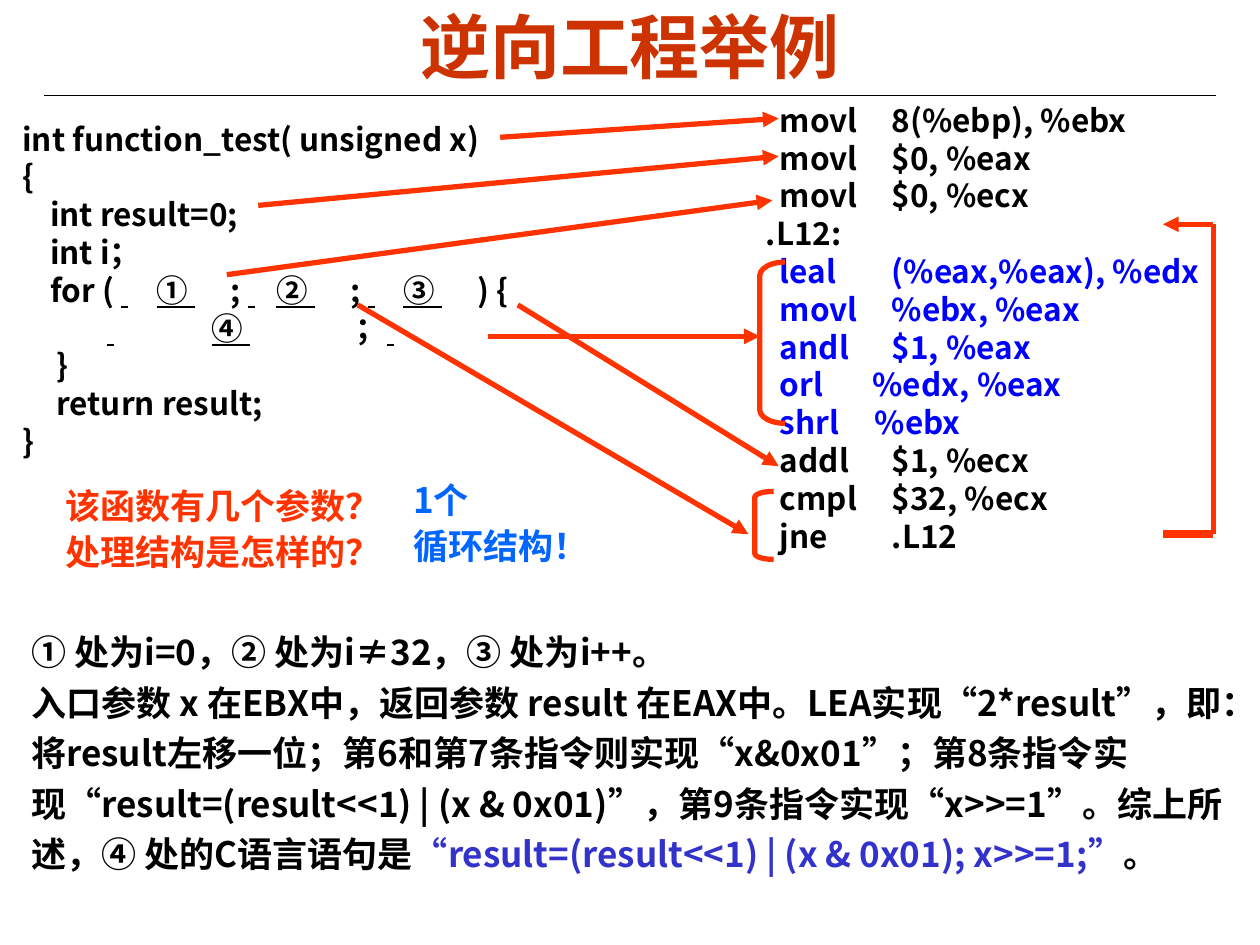
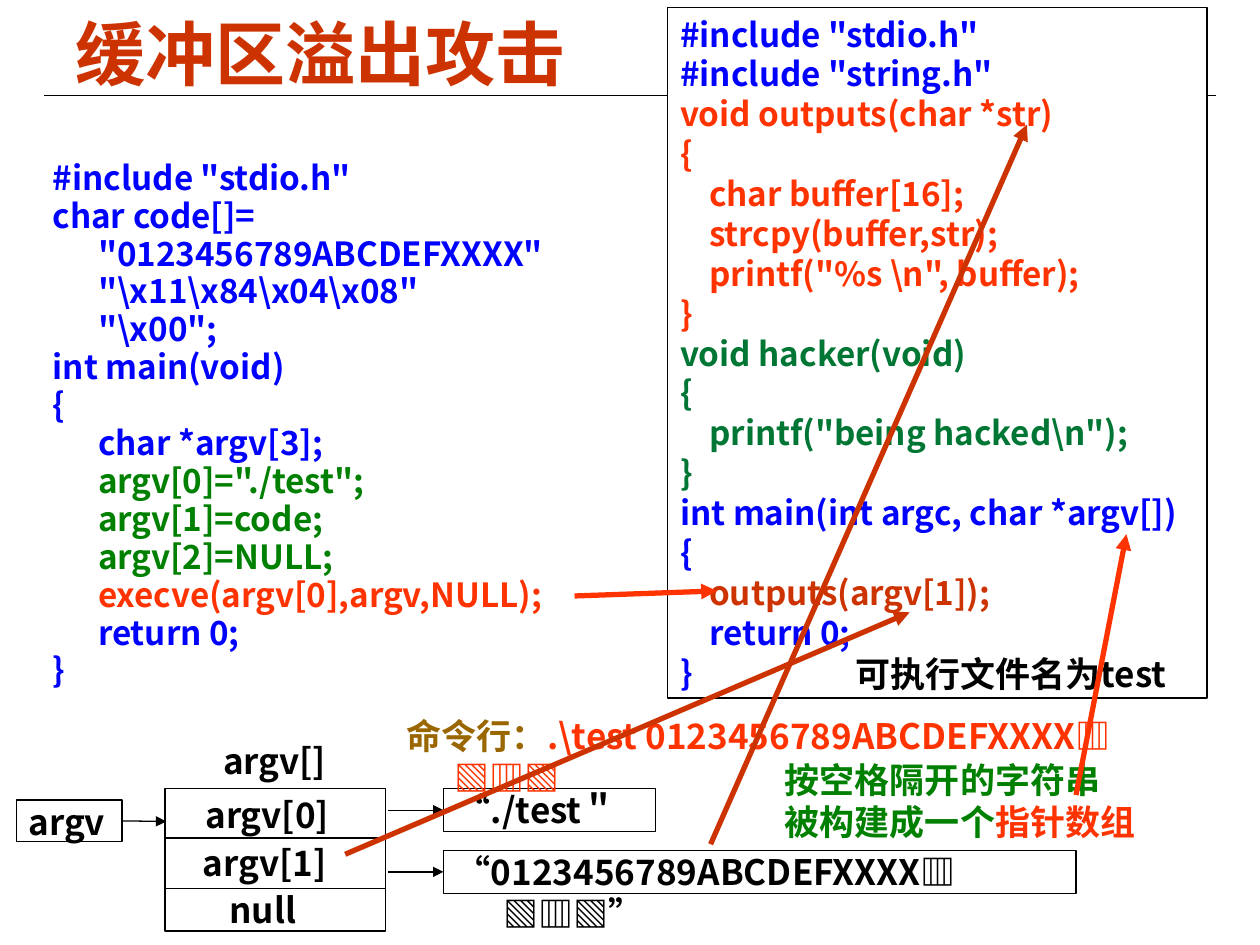
import pptx
import pptx.util
import pptx.dml.color
import pptx.enum.shapes
import pptx.enum.text
import pptx.oxml.ns
import lxml.etree

Inches, Pt = pptx.util.Inches, pptx.util.Pt
SHAPE = pptx.enum.shapes.MSO_SHAPE
ANCHOR = pptx.enum.text.MSO_ANCHOR
FIT = pptx.enum.text.MSO_AUTO_SIZE
ALIGN = pptx.enum.text.PP_ALIGN
qn = pptx.oxml.ns.qn
FONT = "Noto Sans CJK SC"
SPACE_WIDTH = 0.22  # width of a space, in ems
COLORS = {
    "black": "000000", "white": "FFFFFF", "title": "CC3300", "red": "FF3300",
    "blue": "0000FF", "indigo": "3333CC", "sky": "0066FF", "green": "008000",
    "forest": "007635", "ochre": "996600",
}
RGB = {name: pptx.dml.color.RGBColor.from_string(code) for name, code in COLORS.items()}


def write(box, rows, size, font=FONT, hang=0, **frame_format):
    """A row is (indent, run, ...); a run is (text or gap in inches, colour[, underline])."""
    frame = box.text_frame
    settings = {"word_wrap": True, "auto_size": FIT.NONE, "vertical_anchor": ANCHOR.TOP}
    for name, value in {**settings, **frame_format}.items():
        setattr(frame, name, value)
    for number, (indent, *runs) in enumerate(rows):
        para = frame.add_paragraph() if number else frame.paragraphs[0]
        para.alignment = ALIGN.LEFT
        props = para._p.get_or_add_pPr()
        props.set("marL", str(Inches(indent + hang)))
        props.set("indent", str(Inches(-hang)))
        for content, color, *underline in runs:
            if content == "\n":
                para.add_line_break()
                continue
            is_text = isinstance(content, str)
            span = para.add_run()
            span.text = content if is_text else " "
            for name, value in {"size": Pt(size), "bold": True, "name": font,
                                "underline": bool(underline)}.items():
                setattr(span.font, name, value)
            span.font.color.rgb = RGB[color]
            span_props = span._r.get_or_add_rPr()
            lxml.etree.SubElement(span_props, qn("a:ea"), typeface=FONT)
            if not is_text:  # one space, widened by letter spacing
                span_props.set("spc", str(round(100 * (content * 72 - SPACE_WIDTH * size))))
    return frame


def draw_line(slide, start, end, color="black", width=0.75, arrow=False):
    line = slide.shapes.add_connector(
        pptx.enum.shapes.MSO_CONNECTOR.STRAIGHT, *map(Inches, start + end))
    line.line.color.rgb = RGB[color]
    line.line.width = Pt(width)
    if arrow:
        lxml.etree.SubElement(line.line._get_or_add_ln(), qn("a:tailEnd"), type="triangle")
    lxml.etree.SubElement(line._element.spPr, qn("a:effectLst"))
    return line


deck = pptx.Presentation()
deck.slide_width, deck.slide_height = Inches(10), Inches(7.5)

# Shared title and rule
slides = []
for heading, top, align in [("逆向工程举例", 0.06, ALIGN.CENTER),
                            ("缓冲区溢出攻击", 0.11, ALIGN.LEFT)]:
    slide = deck.slides.add_slide(deck.slide_layouts[5])
    draw_line(slide, (0.35, 0.76), (9.65, 0.76))
    title = slide.shapes.title
    title.left, title.top, title.width, title.height = map(Inches, (0.5, top, 9, 0.61))
    write(title, [(0, (heading, "title"))], 40, "Arial", vertical_anchor=ANCHOR.MIDDLE)
    title.text_frame.paragraphs[0].alignment = align
    slides.append(slide)
reverse_slide, overflow_slide = slides

# Slide 1: assembly listing, operands on the default one-inch tab
STEP = 0.11
assembly = [
    (0, (STEP, "black"), ("movl\t8(%ebp), %ebx", "black")),
    (0, (STEP, "black"), ("movl\t$0, %eax", "black")),
    (0, (STEP, "black"), ("movl\t$0, %ecx", "black")),
    (0, (".L12:", "black")),
    (0, (STEP, "blue"), ("leal \t(%eax,%eax), %edx", "blue")),
    (0, (STEP, "blue"), ("movl\t%ebx, %eax", "blue")),
    (0, (STEP, "blue"), ("andl\t$1, %eax", "blue")),
    (0, (STEP, "blue"), ("orl", "blue"), (0.39, "blue"), ("%edx, %eax", "blue")),
    (0, (STEP, "blue"), ("shrl", "blue"), (0.28, "blue"), ("%ebx", "blue")),
    (0, (STEP, "black"), ("addl\t$1, %ecx", "black")),
    (0, (STEP, "black"), ("cmpl\t$32, %ecx", "black")),
    (0, (STEP, "black"), ("jne", "black"), (0.2, "black"), ("\t.L12", "black")),
]
box = reverse_slide.shapes.add_textbox(*map(Inches, (5.98, 0.75, 3.84, 3.7)))
write(box, assembly, 18, vertical_anchor=ANCHOR.MIDDLE, auto_size=FIT.SHAPE_TO_FIT_TEXT)

# Slide 1: explanation
explanation = [
    (0, ("① 处为i=0，② 处为i≠32，③ 处为i++。", "black")),
    (0, ("入口参数 x 在EBX中，返回参数 result 在EAX中。LEA实现“2*result”，即：将result左移一位；"
         "第6和第7条指令则实现“x&0x01”；第8条指令实现“result=(result<<1) | (x & 0x01)”，"
         "第9条指令实现“x>>=1”。综上所述，④ 处的C语言语句是", "black"),
     ("“result=(result<<1) | (x & 0x01); x>>=1;”", "indigo"), ("。", "black")),
]
box = reverse_slide.shapes.add_textbox(*map(Inches, (0.15, 4.69, 9.68, 2.5)))
frame = write(box, explanation, 20, vertical_anchor=ANCHOR.MIDDLE,
              auto_size=FIT.SHAPE_TO_FIT_TEXT)
for para in frame.paragraphs:
    para.line_spacing = 1.2

# Slide 1: C function with underlined blanks
WIDE = (0.28, "black", True)
function_rows = [
    (0, ("int function_test( unsigned x)", "black")),
    (0, ("{", "black")),
    (0.22, ("int result=0;", "black")),
    (0.22, ("int i；", "black")),
    (0.22, ("for ( ", "black"), WIDE, ("①", "black", True), WIDE, (" ; ", "black"),
     (0.22, "black", True), ("②", "black", True), WIDE, (" ; ", "black"),
     WIDE, ("③", "black", True), WIDE, (" ) {", "black")),
    (0.67, (0.83, "black", True), ("④", "black", True), (0.89, "black", True),
     ("；", "black"), (0.67, "black", True)),
    (0.27, ("}", "black")),
    (0.27, ("return result;", "black")),
    (0, ("}", "black")),
]
box = reverse_slide.shapes.add_textbox(*map(Inches, (0.08, 0.9, 4.87, 2.8)))
write(box, function_rows, 18, auto_size=FIT.SHAPE_TO_FIT_TEXT)

# Slide 1: arrows from code to instructions
for start, end in [((3.97, 1.09), (6.18, 0.94)), ((2.05, 1.63), (6.18, 1.24)),
                   ((1.8, 2.18), (6.13, 1.59)), ((2.84, 2.42), (5.94, 4.24)),
                   ((4.11, 2.42), (6.18, 3.7)), ((3.87, 2.67), (6.03, 2.67))]:
    draw_line(reverse_slide, start, end, "red", 3, True)

# Slide 1: jump back to the label
draw_line(reverse_slide, (9.63, 4.24), (9.23, 4.24), "red", 4.5)
draw_line(reverse_slide, (9.63, 1.78), (9.63, 4.24), "red", 3)
draw_line(reverse_slide, (9.63, 1.78), (9.23, 1.78), "red", 3, True)

# Slide 1: brackets around instruction groups
for place, bend in [((5.99, 3.9, 0.15, 0.54), 0.31), ((6.03, 2.08, 0.2, 1.28), 0.54)]:
    bracket = reverse_slide.shapes.add_shape(SHAPE.LEFT_BRACKET, *map(Inches, place))
    bracket.adjustments[0] = bend
    bracket.shadow.inherit = False
    bracket.fill.background()
    bracket.line.color.rgb = RGB["red"]
    bracket.line.width = Pt(3)

# Slide 1: questions and answers
for place, texts, color in [
        ((0.42, 3.8, 2.81, 0.8), ("该函数有几个参数？", "处理结构是怎样的？"), "red"),
        ((3.18, 3.75, 1.97, 0.8), ("1个", "循环结构！"), "sky")]:
    box = reverse_slide.shapes.add_textbox(*map(Inches, place))
    frame = write(box, [(0, (text, color)) for text in texts], 20,
                  auto_size=FIT.SHAPE_TO_FIT_TEXT)
    frame.paragraphs[1].space_before = Pt(2)

# Slide 2: attacking program
attack = [
    (0, '#include "stdio.h"', "blue"),
    (0, "char code[]=", "blue"),
    (0.36, '"0123456789ABCDEFXXXX"', "blue"),
    (0.36, '"\\x11\\x84\\x04\\x08"', "blue"),
    (0.36, '"\\x00";', "blue"),
    (0, "int main(void)", "blue"),
    (0, "{", "blue"),
    (0.36, "char *argv[3];", "blue"),
    (0.36, 'argv[0]="./test";', "green"),
    (0.36, "argv[1]=code;", "green"),
    (0.36, "argv[2]=NULL;", "green"),
    (0.36, "execve(argv[0],argv,NULL);", "red"),
    (0.36, "return 0;", "blue"),
    (0, "}", "blue"),
]
box = overflow_slide.shapes.add_textbox(*map(Inches, (0.32, 1.22, 4.38, 4.31)))
frame = write(box, [(indent, (text, color)) for indent, text, color in attack], 19,
              vertical_anchor=ANCHOR.MIDDLE, auto_size=FIT.SHAPE_TO_FIT_TEXT)
for para in frame.paragraphs:
    para.line_spacing = 0.95

# Slide 2: attacked program
victim = [
    (0, '#include "stdio.h"', "blue"),
    (0, '#include "string.h"', "blue"),
    (0, "void outputs(char *str)", "red"),
    (0, "{", "red"),
    (0.23, "char buffer[16];", "red"),
    (0.23, "strcpy(buffer,str);", "red"),
    (0.23, 'printf("%s \\n", buffer);', "red"),
    (0, "}", "red"),
    (0, "void hacker(void)", "forest"),
    (0, "{", "forest"),
    (0.23, 'printf("being hacked\\n");', "forest"),
    (0, "}", "forest"),
    (0, "int main(int argc, char *argv[])", "blue"),
    (0, "{", "blue"),
    (0.23, "outputs(argv[1]);", "title"),
    (0.23, "return 0;", "blue"),
    (0, "}", "blue"),
]

# Slide 2: boxes as place, outline, filled, left inset, rows, size
PAYLOAD = "0123456789ABCDEFXXXX▥"
boxes = {
    "victim": ((5.3, 0.06, 4.28, 5.48), True, True, 0.1,
               [(indent, (text, color)) for indent, text, color in victim], 19),
    "argv": ((0.13, 6.35, 0.84, 0.33), True, True, 0.1, [(0, ("argv", "black"))], 20),
    "array": ((1.31, 6.26, 1.75, 1.13), True, True, 0, [], 20),
    "item 0": ((1.57, 6.3, 1.12, 0.32), False, True, 0.06, [(0, ("argv[0]", "black"))], 20),
    "item 1": ((1.55, 6.68, 1.12, 0.32), False, True, 0.06, [(0, ("argv[1]", "black"))], 20),
    "null": ((1.7, 7.05, 0.72, 0.25), False, True, 0.12, [(0, ("null", "black"))], 20),
    "array name": ((1.77, 5.87, 0.98, 0.33), False, True, 0, [(0, ("argv[]", "black"))], 20),
    "program": ((3.52, 6.26, 1.68, 0.34), True, True, 0.1, [(0, ("“./test＂", "black"))], 20),
    "payload": ((3.52, 6.75, 5.02, 0.34), True, False, 0.1,
                [(0, ("“" + PAYLOAD, "black"), ("\n", "black"), ("▧▥▧”", "black"))], 20),
}
drawn = {}
for name, (place, outlined, filled, inset, rows, size) in boxes.items():
    box = drawn[name] = overflow_slide.shapes.add_shape(SHAPE.RECTANGLE, *map(Inches, place))
    box.shadow.inherit = False
    if filled:
        box.fill.solid()
        box.fill.fore_color.rgb = RGB["white"]
    else:
        box.fill.background()
    if outlined:
        box.line.color.rgb = RGB["black"]
        box.line.width = Pt(0.75)
    else:
        box.line.fill.background()
    margin = Inches(0.05) if name == "victim" else 0
    write(box, rows, size, hang=0.38 if name == "payload" else 0,
          margin_left=Inches(inset), margin_right=0, margin_top=margin, margin_bottom=margin,
          vertical_anchor=ANCHOR.MIDDLE if name == "victim" else ANCHOR.TOP)

# Slide 2: array dividers and pointers
for y in (6.65, 7.05):
    draw_line(overflow_slide, (1.31, y), (3.06, y))
draw_line(overflow_slide, (0.97, 6.52), (1.32, 6.52), arrow=True).begin_connect(drawn["argv"], 3)
for name, y in [("program", 6.43), ("payload", 6.92)]:
    draw_line(overflow_slide, (3.08, y), (3.52, y), arrow=True).end_connect(drawn[name], 1)

# Slide 2: captions
captions = [
    ((6.69, 5.13, 2.84, 0.43), 0, [(0, ("可执行文件名为test", "black"))]),
    ((3.13, 5.62, 6.74, 0.43), 0.38,
     [(0, ("命令行：", "ochre"), (".\\test " + PAYLOAD, "red"), ("\n", "red"), ("▧▥▧", "red"))]),
    ((6.13, 5.97, 3.35, 0.77), 0,
     [(0, ("按空格隔开的字符串", "green")),
      (0, ("被构建成一个", "green"), ("指针数组", "red"))]),
]
for place, hang, rows in captions:
    box = overflow_slide.shapes.add_textbox(*map(Inches, place))
    write(box, rows, 20, hang=hang, auto_size=FIT.SHAPE_TO_FIT_TEXT)

# Slide 2: arrows following the argument
for start, end, color in [((8.54, 6.31), (8.94, 4.24), "red"),
                          ((4.56, 4.73), (5.69, 4.69), "red"),
                          ((2.74, 6.78), (7.22, 4.86), "title"),
                          ((5.64, 6.7), (8.15, 0.99), "title")]:
    draw_line(overflow_slide, start, end, color, 3, True)

deck.save("out.pptx")
